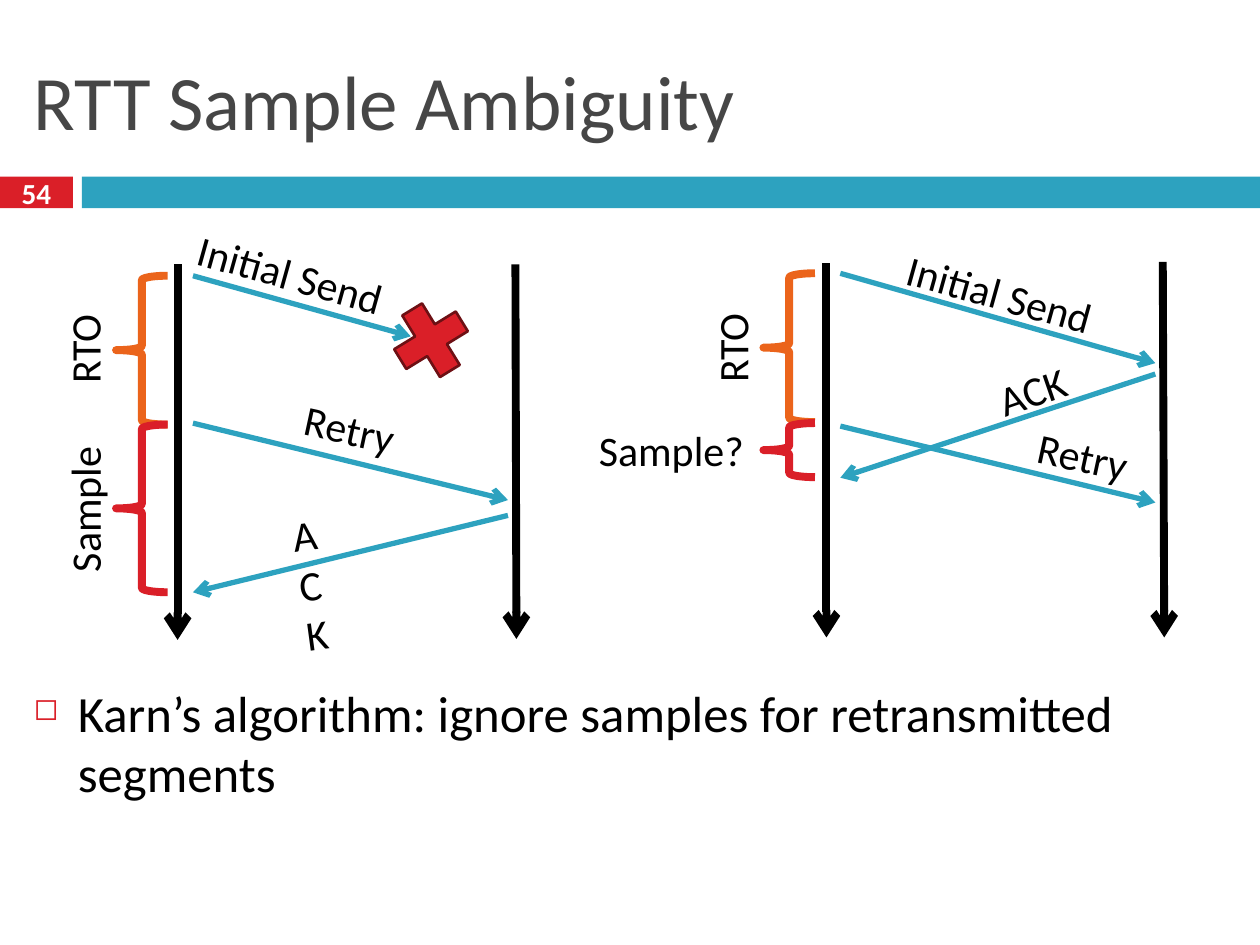
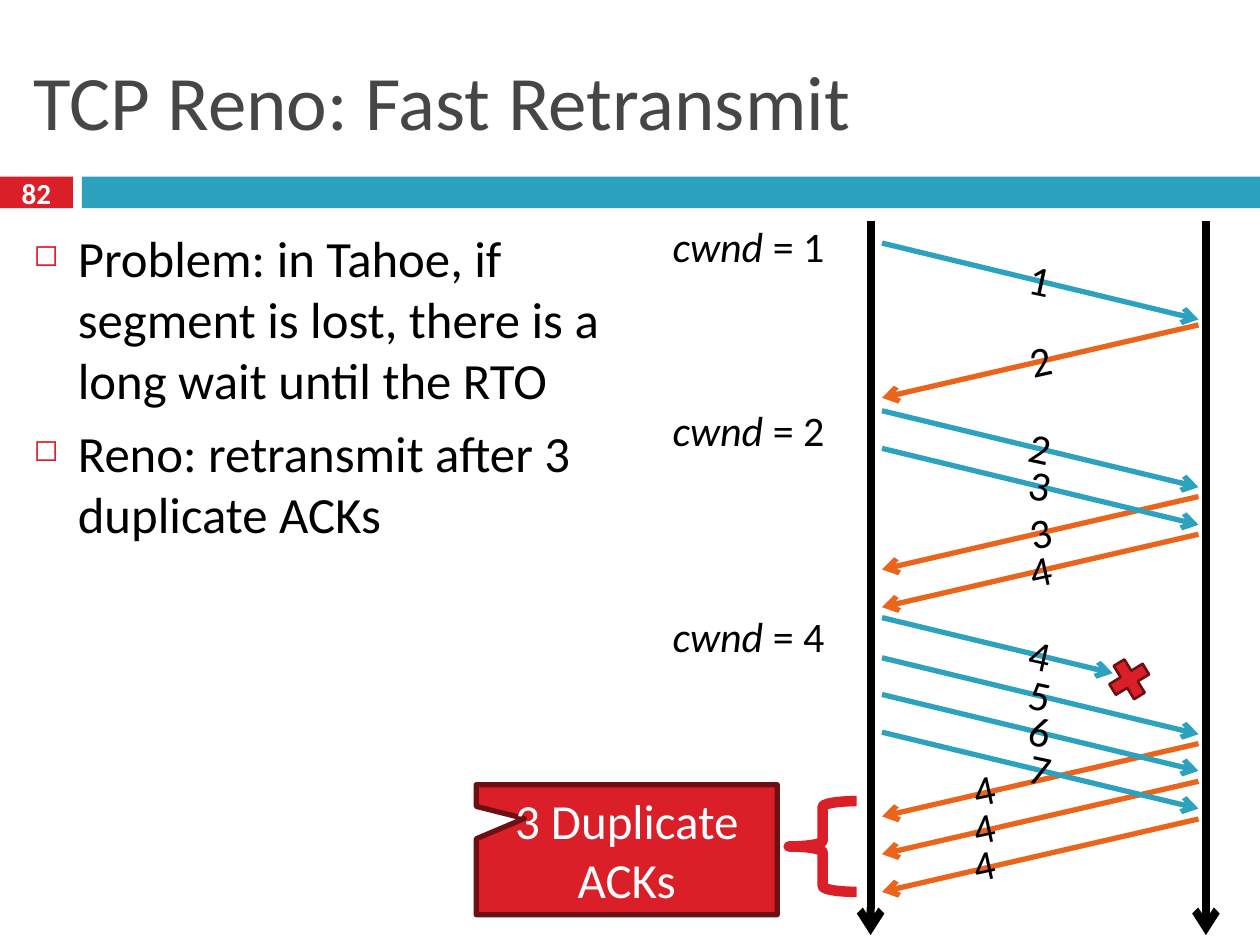
"""Build two slides on TCP timing: RTT sample ambiguity and Reno fast retransmit."""
from lxml import etree
from pptx import Presentation
from pptx.dml.color import RGBColor
from pptx.enum import shapes, text
from pptx.oxml import ns
from pptx.util import Cm, Pt

BLACK = RGBColor(0x00, 0x00, 0x00)
WHITE = RGBColor(0xFF, 0xFF, 0xFF)
GREY = RGBColor(0x46, 0x46, 0x46)
RED = RGBColor(0xDA, 0x1F, 0x28)
DARK_RED = RGBColor(0x6D, 0x10, 0x14)
TEAL = RGBColor(0x2D, 0xA2, 0xBF)
ORANGE = RGBColor(0xEB, 0x64, 0x1B)
FONT = "Calibri"
LABEL_HEIGHT = 1.27
LEFT, CENTER = text.PP_ALIGN.LEFT, text.PP_ALIGN.CENTER
PRESET = shapes.MSO_SHAPE


def add_label(page, left, top, width, words, angle=0, align=CENTER):
    box = page.shapes.add_textbox(Cm(left), Cm(top), Cm(width), Cm(LABEL_HEIGHT))
    box.rotation = angle
    box.text_frame.word_wrap = True
    para = box.text_frame.paragraphs[0]
    para.text = words
    para.alignment = align
    para.font.name, para.font.size, para.font.color.rgb = FONT, Pt(24), BLACK
    return para


def add_arrow(page, start, end, color=TEAL, weight=3):
    x1, y1, x2, y2 = (Cm(value) for value in start + end)
    arrow = page.shapes.add_connector(shapes.MSO_CONNECTOR.STRAIGHT, x1, y1, x2, y2)
    arrow.line.color.rgb = color
    arrow.line.width = Pt(weight)
    outline = arrow.line._get_or_add_ln()
    etree.SubElement(outline, ns.qn("a:tailEnd"), type="arrow")
    etree.SubElement(arrow._element.spPr, ns.qn("a:effectLst"))


deck = Presentation()
deck.slide_width, deck.slide_height = Cm(25.4), Cm(19.05)
blank = deck.slide_layouts[6]
ambiguity, reno = deck.slides.add_slide(blank), deck.slides.add_slide(blank)

outlines = (
    (ambiguity, "RTT Sample Ambiguity", "54", (0.43, 13.61, 24.56, 5.0),
     ["Karn’s algorithm: ignore samples for retransmitted segments"]),
    (reno, "TCP Reno: Fast Retransmit", "82", (0.43, 4.45, 11.94, 14.17),
     ["Problem: in Tahoe, if segment is lost, there is a long wait until the RTO",
      "Reno: retransmit after 3 duplicate ACKs"]),
)
for page, title, number, body_place, points in outlines:
    for left, width, color, words in ((0, 1.47, RED, number), (1.65, 23.75, TEAL, "")):
        band = page.shapes.add_shape(PRESET.RECTANGLE, Cm(left), Cm(3.56), Cm(width), Cm(0.64))
        band.shadow.inherit = False
        band.fill.solid()
        band.fill.fore_color.rgb = color
        band.line.fill.background()
        if words:
            frame = band.text_frame
            frame.margin_left = frame.margin_right = frame.margin_top = frame.margin_bottom = 0
            frame.vertical_anchor = text.MSO_ANCHOR.MIDDLE
            para = frame.paragraphs[0]
            para.text = words
            para.alignment = CENTER
            para.font.name, para.font.size, para.font.color.rgb = FONT, Pt(16.6), WHITE
            para.font.bold = True

    box = page.shapes.add_textbox(Cm(0.43), Cm(0.64), Cm(24.56), Cm(2.74))
    box.text_frame.word_wrap = True
    box.text_frame.vertical_anchor = text.MSO_ANCHOR.MIDDLE
    para = box.text_frame.paragraphs[0]
    para.text = title
    para.font.name, para.font.size, para.font.color.rgb = FONT, Pt(44), GREY

    box = page.shapes.add_textbox(*(Cm(value) for value in body_place))
    box.text_frame.word_wrap = True
    for index, point in enumerate(points):
        para = box.text_frame.add_paragraph() if index else box.text_frame.paragraphs[0]
        para.text = point
        props = para._p.get_or_add_pPr()
        props.set("marL", str(Cm(0.89)))
        props.set("indent", str(-Cm(0.89)))
        bullet_color = etree.SubElement(props, ns.qn("a:buClr"))
        etree.SubElement(bullet_color, ns.qn("a:srgbClr"), val=str(RED))
        etree.SubElement(props, ns.qn("a:buSzPct"), val="60000")
        etree.SubElement(props, ns.qn("a:buChar"), char="◻")
        para.space_before = Pt(7 if index else 0)
        para.font.name, para.font.size, para.font.color.rgb = FONT, Pt(29), BLACK

lifelines = (
    (ambiguity, (3.58, 5.33), (3.58, 12.9)),
    (ambiguity, (10.39, 5.33), (10.41, 12.88)),
    (ambiguity, (16.66, 5.31), (16.66, 12.85)),
    (ambiguity, (23.44, 5.28), (23.47, 12.85)),
    (reno, (17.55, 4.45), (17.55, 18.85)),
    (reno, (24.31, 4.45), (24.31, 18.85)),
)
for page, start, end in lifelines:
    add_arrow(page, start, end, BLACK, 4.5)

messages = (
    ((3.89, 5.56), (8.28, 6.78), (3.07, 4.88, 5.56, "Initial Send", 15.6)),
    ((3.89, 8.53), (10.24, 10.08), (5.64, 8.0, 2.82, "Retry", 12.3)),
    ((10.24, 10.39), (3.89, 11.94), (5.64, 10.11, 1.27, "ACK", -7.8, LEFT)),
    ((16.94, 5.51), (23.29, 7.32), (17.37, 5.28, 5.56, "Initial Send", 15.6)),
    ((23.29, 7.54), (16.94, 9.63), (19.33, 7.24, 2.95, "ACK", -19)),
    ((16.94, 8.59), (23.29, 10.13), (20.42, 8.56, 2.82, "Retry", 12.3)),
)
for start, end, label in messages:
    add_arrow(ambiguity, start, end)
    add_label(ambiguity, *label)

interval_labels = (
    (0.33, 6.4, 2.72, "RTO", -90),
    (0.05, 9.63, 3.3, "Sample", -90),
    (13.39, 6.38, 2.72, "RTO", -90),
    (11.53, 8.43, 4.01, "Sample?"),
)
for label in interval_labels:
    add_label(ambiguity, *label)

SENDER, RECEIVER = 17.78, 24.16
acks = ((6.55, "2"), (10.01, "3"), (10.77, "4"), (14.99, "4"), (15.75, "4"), (16.51, "4"))
for index, (top, words) in enumerate(acks):
    duplicate = index >= 3
    add_arrow(reno, (RECEIVER, top), (SENDER, top + 1.47), ORANGE)
    label_left, drop = (18.42, 0.28) if duplicate else (19.56, 0.08)
    add_label(reno, label_left, top + drop, 2.82, words, -12.5)

for number, top in enumerate((4.9, 8.28, 9.04, 12.45, 13.26, 14.0, 14.76), 1):
    lost = number == 4
    end = (22.43, top + 1.12) if lost else (RECEIVER, top + 1.54)
    add_arrow(reno, (SENDER, top), end)
    add_label(reno, 19.56, top + 0.1, 2.82, str(number), 12.3)

for top, window in ((4.32, 1), (8.03, 2), (12.19, 4)):
    para = add_label(reno, 13.31, top, 3.96, "cwnd", align=LEFT)
    para.runs[0].font.italic = True
    para.add_run().text = f" = {window}"

braces = (
    (ambiguity, 2.34, 5.56, 1.04, 3.0, ORANGE, 4.5),
    (ambiguity, 2.34, 8.56, 1.04, 3.38, RED, 4.5),
    (ambiguity, 15.39, 5.51, 1.04, 3.0, ORANGE, 4.5),
    (ambiguity, 15.39, 8.53, 1.04, 1.09, RED, 4.5),
    (reno, 15.9, 16.15, 1.37, 1.83, RED, 6),
)
for page, left, top, width, height, color, weight in braces:
    brace = page.shapes.add_shape(PRESET.LEFT_BRACE, Cm(left), Cm(top), Cm(width), Cm(height))
    brace.shadow.inherit = False
    brace.fill.background()
    brace.line.color.rgb = color
    brace.line.width = Pt(weight)

red_shapes = (
    (ambiguity, PRESET.MATH_MULTIPLY, (7.7, 5.87, 1.98, 1.98), 13.5, 1.5),
    (reno, PRESET.MATH_MULTIPLY, (22.23, 13.16, 1.07, 1.07), 13.5, 1.5),
    (reno, PRESET.RECTANGULAR_CALLOUT, (9.6, 15.82, 6.07, 2.62), 0, 3),
)
for page, preset, place, angle, weight in red_shapes:
    callout = page.shapes.add_shape(preset, *(Cm(value) for value in place))
    callout.shadow.inherit = False
    callout.rotation = angle
    callout.fill.solid()
    callout.fill.fore_color.rgb = RED
    callout.line.color.rgb = DARK_RED
    callout.line.width = Pt(weight)

callout.adjustments[0], callout.adjustments[1] = -0.34, -0.24
callout.text_frame.word_wrap = True
callout.text_frame.vertical_anchor = text.MSO_ANCHOR.MIDDLE
para = callout.text_frame.paragraphs[0]
para.text = "3 Duplicate ACKs"
para.alignment = CENTER
para.font.name, para.font.size, para.font.color.rgb = FONT, Pt(28), WHITE

deck.save("out.pptx")
